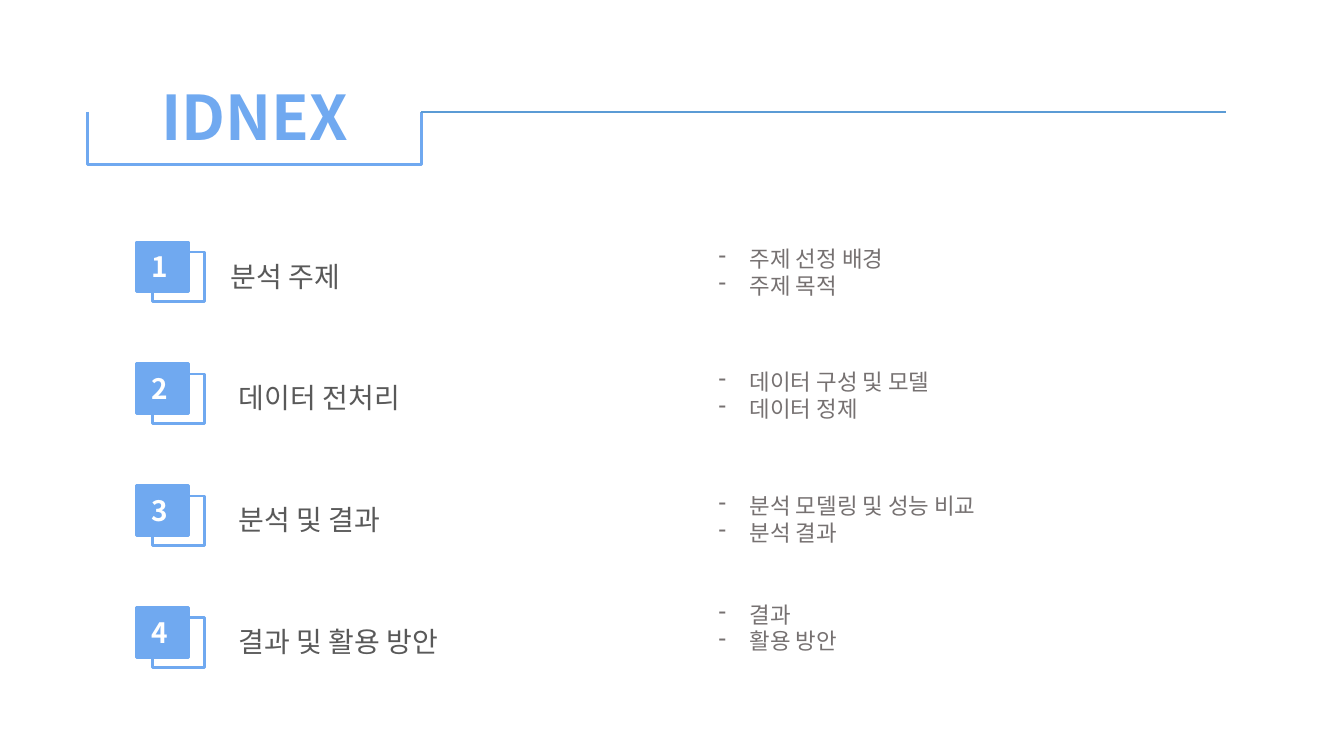
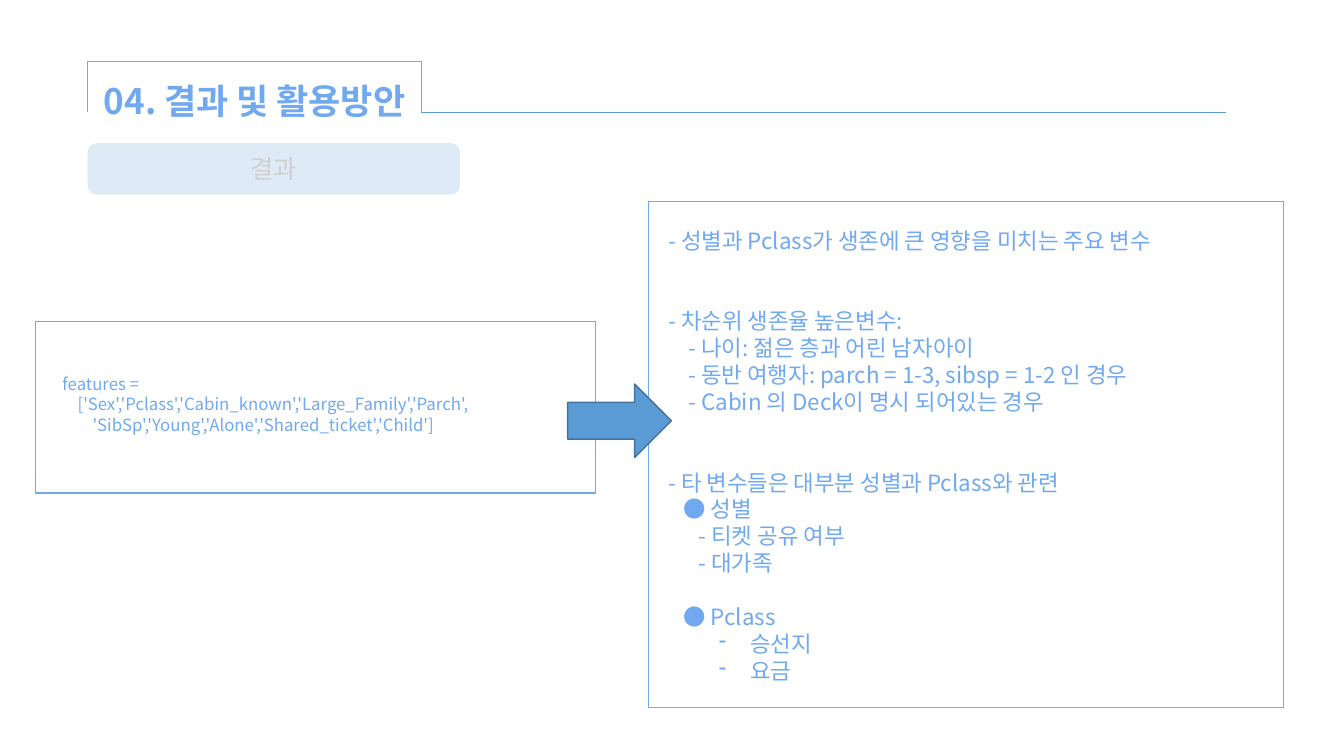
from lxml import etree
from pptx import Presentation
from pptx.dml.color import RGBColor
from pptx.enum import shapes, text
from pptx.oxml.ns import qn
from pptx.util import Inches, Pt

FONT = "Noto Sans CJK KR"
BLUE, LINE_BLUE, ARROW_EDGE = "70A9F0", "5B9BD5", "43739E"
PALE, WHITE, SILVER = "DEEBF7", "FFFFFF", "D0CECE"
DARK, GREY = "595959", "767171"
LEFT, CENTER = text.PP_ALIGN.LEFT, text.PP_ALIGN.CENTER
TOP, MIDDLE = text.MSO_ANCHOR.TOP, text.MSO_ANCHOR.MIDDLE
SHAPE = shapes.MSO_SHAPE
HANG = 0.31


def write(frame, lines, size, color, pitch=None, bold=False, align=LEFT,
          anchor=TOP, insets=(0.1, 0.05, 0.1, 0.05)):
    """Fill a frame with lines of (text, indent, dash bullet, space before in pt)."""
    frame.word_wrap = True
    frame.auto_size = text.MSO_AUTO_SIZE.NONE
    frame.vertical_anchor = anchor
    (frame.margin_left, frame.margin_top,
     frame.margin_right, frame.margin_bottom) = map(Inches, insets)
    for i, (words, indent, dash, before) in enumerate(lines):
        para = frame.paragraphs[0] if i == 0 else frame.add_paragraph()
        para.text = words
        para.alignment = align
        if pitch:
            para.line_spacing = Pt(pitch)
        if before:
            para.space_before = Pt(before)
        props = para._p.get_or_add_pPr()
        props.set("marL", str(Inches(indent)))
        props.set("indent", str(Inches(-HANG if dash else 0)))
        if dash:
            etree.SubElement(props, qn("a:buChar")).set("char", "-")
        para.font.size, para.font.bold = Pt(size), bold
        para.font.color.rgb = RGBColor.from_string(color)
        para.font.name = FONT
        etree.SubElement(props.find(qn("a:defRPr")), qn("a:ea")).set("typeface", FONT)


def add_box(slide, kind, x, y, w, h, fill=None, line=None, weight=1):
    box = slide.shapes.add_shape(kind, Inches(x), Inches(y), Inches(w), Inches(h))
    box.shadow.inherit = False
    if fill:
        box.fill.solid()
        box.fill.fore_color.rgb = RGBColor.from_string(fill)
    else:
        box.fill.background()
    if line:
        box.line.color.rgb = RGBColor.from_string(line)
        box.line.width = Pt(weight)
    else:
        box.line.fill.background()
    return box


prs = Presentation()
prs.slide_width, prs.slide_height = Inches(13.33), Inches(7.5)

# Shared header: title in an open frame, with a rule running to the right
RULE_Y, FRAME_LEFT, FRAME_RIGHT, RULE_RIGHT = 1.11, 0.87, 4.18, 12.16
headers = [
    # title, size, line weight, closed edge of the frame, title box
    ("IDNEX", 44, 1.75, 1.63, (1.35, 0.69, 2.35, 0.84)),
    ("04. 결과 및 활용방안", 25, 0.5, 0.61, (0.77, 0.71, 3.51, 0.52)),
]
slides = []
for heading, size, weight, edge_y, title_box in headers:
    slide = prs.slides.add_slide(prs.slide_layouts[5])
    slides.append(slide)

    pen = slide.shapes.build_freeform(Inches(FRAME_LEFT), Inches(RULE_Y))
    corners = [(FRAME_LEFT, edge_y), (FRAME_RIGHT, edge_y), (FRAME_RIGHT, RULE_Y)]
    pen.add_line_segments([(Inches(x), Inches(y)) for x, y in corners], close=False)
    title_frame = pen.convert_to_shape()
    title_frame.shadow.inherit = False
    title_frame.fill.background()

    rule = slide.shapes.add_connector(
        shapes.MSO_CONNECTOR.STRAIGHT, Inches(FRAME_RIGHT), Inches(RULE_Y),
        Inches(RULE_RIGHT), Inches(RULE_Y))
    etree.SubElement(rule._element.spPr, qn("a:effectLst"))
    for stroke, color in ((title_frame.line, BLUE), (rule.line, LINE_BLUE)):
        stroke.color.rgb = RGBColor.from_string(color)
        stroke.width = Pt(weight)

    title = slide.shapes.title
    title.left, title.top, title.width, title.height = map(Inches, title_box)
    write(title.text_frame, [(heading, 0, False, 0)], size, BLUE,
          pitch=round(size * 1.28), bold=True, align=CENTER)

index, results = slides

# Index: numbered sections with their topics
sections = [
    # label, label left, topics, topics top
    ("분석 주제", 2.19, ["주제 선정 배경", "주제 목적"], 2.38),
    ("데이터 전처리", 2.27, ["데이터 구성 및 모델", "데이터 정제"], 3.6),
    ("분석 및 결과", 2.27, ["분석 모델링 및 성능 비교", "분석 결과"], 4.83),
    ("결과 및 활용 방안", 2.27, ["결과", "활용 방안"], 5.91),
]
for i, (label, label_x, topics, topics_y) in enumerate(sections):
    y = 2.4 + 1.21 * i
    add_box(index, SHAPE.RECTANGLE, 1.51, y + 0.1, 0.52, 0.49, line=BLUE, weight=2)
    number = add_box(index, SHAPE.RECTANGLE, 1.35, y, 0.52, 0.49, BLUE, BLUE, 2)
    write(number.text_frame, [(str(i + 1), 0, False, 0)], 20, WHITE, bold=True,
          align=CENTER, anchor=MIDDLE, insets=(0, 0, 0.06, 0))
    section = index.shapes.add_textbox(
        Inches(label_x), Inches(y - 0.06), Inches(3), Inches(0.53))
    write(section.text_frame, [(label, 0, False, 0)], 20, DARK, pitch=37)
    details = index.shapes.add_textbox(
        Inches(7.03), Inches(topics_y), Inches(3.63), Inches(0.64))
    write(details.text_frame, [(topic, HANG, True, 0) for topic in topics],
          16, GREY, pitch=19.2)

# Results: section tag
tag = add_box(results, SHAPE.ROUNDED_RECTANGLE, 0.87, 1.42, 3.69, 0.51, PALE)
write(tag.text_frame, [("결과", 0, False, 0)], 18, SILVER, align=CENTER, anchor=MIDDLE)

# Results: findings panel
LINE = 19.2
findings = [
    ("- 성별과 Pclass가 생존에 큰 영향을 미치는 주요 변수", 0, False, 0),
    ("- 차순위 생존율 높은변수:", 0, False, 2 * LINE),
    ("- 나이: 젊은 층과 어린 남자아이", 0.2, False, 0),
    ("- 동반 여행자: parch = 1-3, sibsp = 1-2 인 경우", 0.2, False, 0),
    ("- Cabin 의 Deck이 명시 되어있는 경우", 0.2, False, 0),
    ("- 타 변수들은 대부분 성별과 Pclass와 관련", 0, False, 2 * LINE),
    ("● 성별", 0.15, False, 0),
    ("- 티켓 공유 여부", 0.3, False, 0),
    ("- 대가족", 0.3, False, 0),
    ("● Pclass", 0.15, False, LINE),
    ("승선지", 0.81, True, 0),
    ("요금", 0.81, True, 0),
]
findings_panel = add_box(results, SHAPE.RECTANGLE, 6.43, 2, 6.3, 5.02, line=BLUE)
write(findings_panel.text_frame, findings, 16, BLUE, pitch=LINE,
      insets=(0.2, 0.25, 0.1, 0.05))

# Results: feature list and the arrow to the findings
features = [
    ("features =", 0, False, 0),
    ("['Sex','Pclass','Cabin_known','Large_Family','Parch',", 0.15, False, 0),
    ("'SibSp','Young','Alone','Shared_ticket','Child']", 0.3, False, 0),
]
features_panel = add_box(results, SHAPE.RECTANGLE, 0.35, 3.19, 5.56, 1.7, line=BLUE)
write(features_panel.text_frame, features, 12, BLUE, pitch=14.4,
      insets=(0.27, 0.52, 0.1, 0.05))
add_box(results, SHAPE.RIGHT_ARROW, 5.63, 3.81, 1.03, 0.73, LINE_BLUE, ARROW_EDGE)

prs.save("out.pptx")
